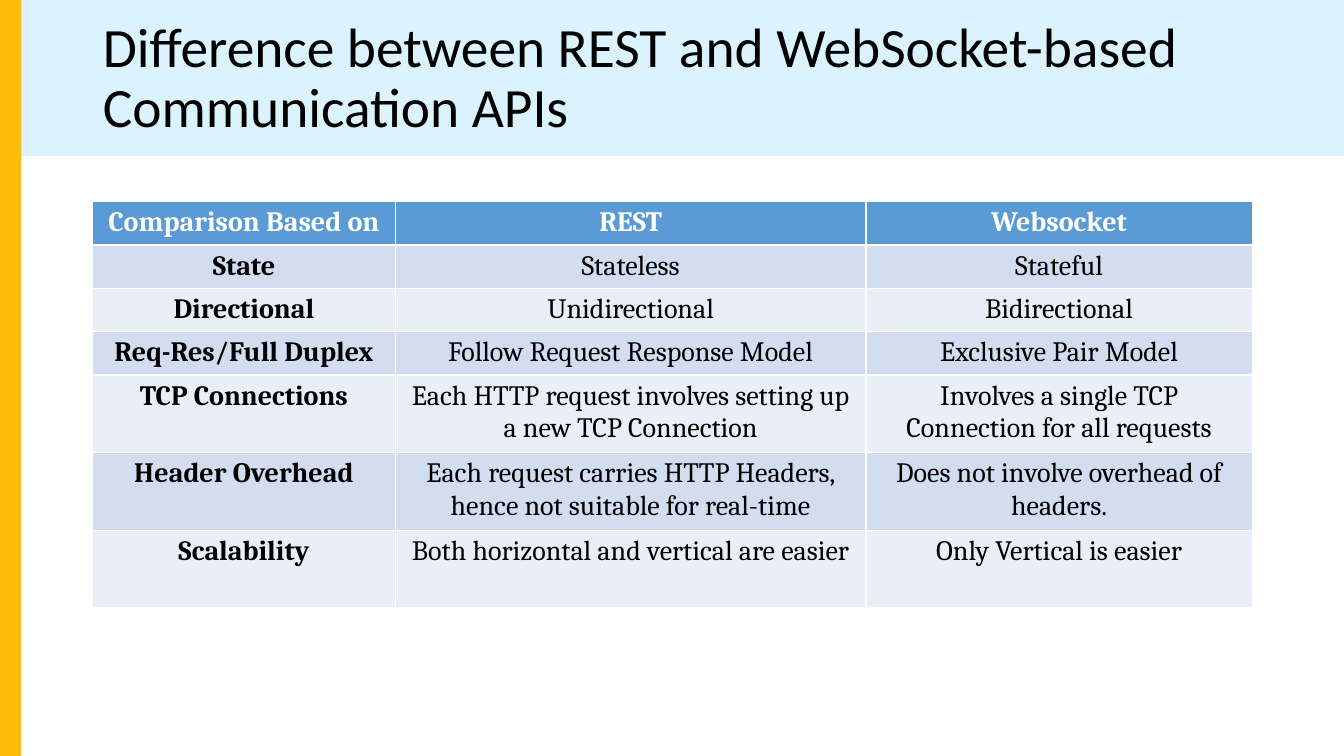
from pptx import Presentation
from pptx.dml.color import RGBColor
from pptx.enum.shapes import MSO_SHAPE
from pptx.enum.text import MSO_ANCHOR, MSO_AUTO_SIZE, PP_ALIGN
from pptx.util import Emu, Pt

PX = 9144
BLACK = RGBColor(0x00, 0x00, 0x00)
WHITE = RGBColor(0xFF, 0xFF, 0xFF)
SKY = RGBColor(0xDA, 0xF3, 0xFE)
AMBER = RGBColor(0xFE, 0xBD, 0x0A)
HEADER = RGBColor(0x5B, 0x9B, 0xD5)
BANDS = [RGBColor(0xEA, 0xEF, 0xF7), RGBColor(0xD2, 0xDE, 0xEF)]

TITLE = "Difference between REST and WebSocket-based Communication APIs"
COLUMN_WIDTHS = [300, 467, 383]
ROW_HEIGHTS = [43] * 4 + [77] * 3
COMPARISON = [
    ("Comparison Based on", "REST", "Websocket"),
    ("State", "Stateless", "Stateful"),
    ("Directional", "Unidirectional", "Bidirectional"),
    ("Req-Res/Full Duplex", "Follow Request Response Model", "Exclusive Pair Model"),
    ("TCP Connections", "Each HTTP request involves setting up a new TCP Connection",
     "Involves a single TCP Connection for all requests"),
    ("Header Overhead", "Each request carries HTTP Headers, hence not suitable for real-time",
     "Does not involve overhead of headers."),
    ("Scalability", "Both horizontal and vertical are easier", "Only Vertical is easier"),
]


def px(*lengths):
    """Turn whole pixels into EMU."""
    return [Emu(n * PX) for n in lengths]


def put_text(tf, text, size=20, font="Cambria", color=BLACK, bold=False,
             align=PP_ALIGN.CENTER, spacing=None):
    """Write one formatted paragraph into a text frame."""
    p = tf.paragraphs[0]
    p.alignment = align
    p.line_spacing = spacing
    r = p.add_run()
    r.text = text
    r.font.size = Pt(size)
    r.font.name = font
    r.font.bold = bold
    r.font.color.rgb = color


def add_bar(s, box, color):
    """Add a plain coloured bar behind the title."""
    sp = s.shapes.add_shape(MSO_SHAPE.RECTANGLE, *px(*box))
    sp.shadow.inherit = False
    sp.fill.solid()
    sp.fill.fore_color.rgb = color
    sp.line.fill.background()
    s.shapes.title.element.addprevious(sp.element)


def set_title(s, text, box):
    """Place and fill the title placeholder."""
    sp = s.shapes.title
    sp.left, sp.top, sp.width, sp.height = px(*box)
    tf = sp.text_frame
    tf.word_wrap = True
    tf.auto_size = MSO_AUTO_SIZE.NONE
    tf.vertical_anchor = MSO_ANCHOR.MIDDLE
    put_text(tf, text, size=39.6, font="Calibri", align=PP_ALIGN.LEFT, spacing=0.9)


def add_comparison(s, rows, left, top):
    """Add the banded comparison table."""
    box = px(left, top, sum(COLUMN_WIDTHS), sum(ROW_HEIGHTS))
    table = s.shapes.add_table(len(rows), len(COLUMN_WIDTHS), *box).table
    for column, width in zip(table.columns, px(*COLUMN_WIDTHS)):
        column.width = width
    for row, height in zip(table.rows, px(*ROW_HEIGHTS)):
        row.height = height
    for i, texts in enumerate(rows):
        for j, text in enumerate(texts):
            cell = table.cell(i, j)
            cell.fill.solid()
            cell.fill.fore_color.rgb = BANDS[i % 2] if i else HEADER
            put_text(cell.text_frame, text, bold=i == 0 or j == 0,
                     color=BLACK if i else WHITE)


def main():
    """Build the slide and save it."""
    prs = Presentation()
    prs.slide_width, prs.slide_height = px(1333, 750)
    s = prs.slides.add_slide(prs.slide_layouts[5])
    add_bar(s, (0, 0, 1333, 155), SKY)
    add_bar(s, (-1, 0, 22, 750), AMBER)
    set_title(s, TITLE, (92, 20, 1150, 118))
    add_comparison(s, COMPARISON, 92, 200)
    prs.save("out.pptx")


if __name__ == "__main__":
    main()
